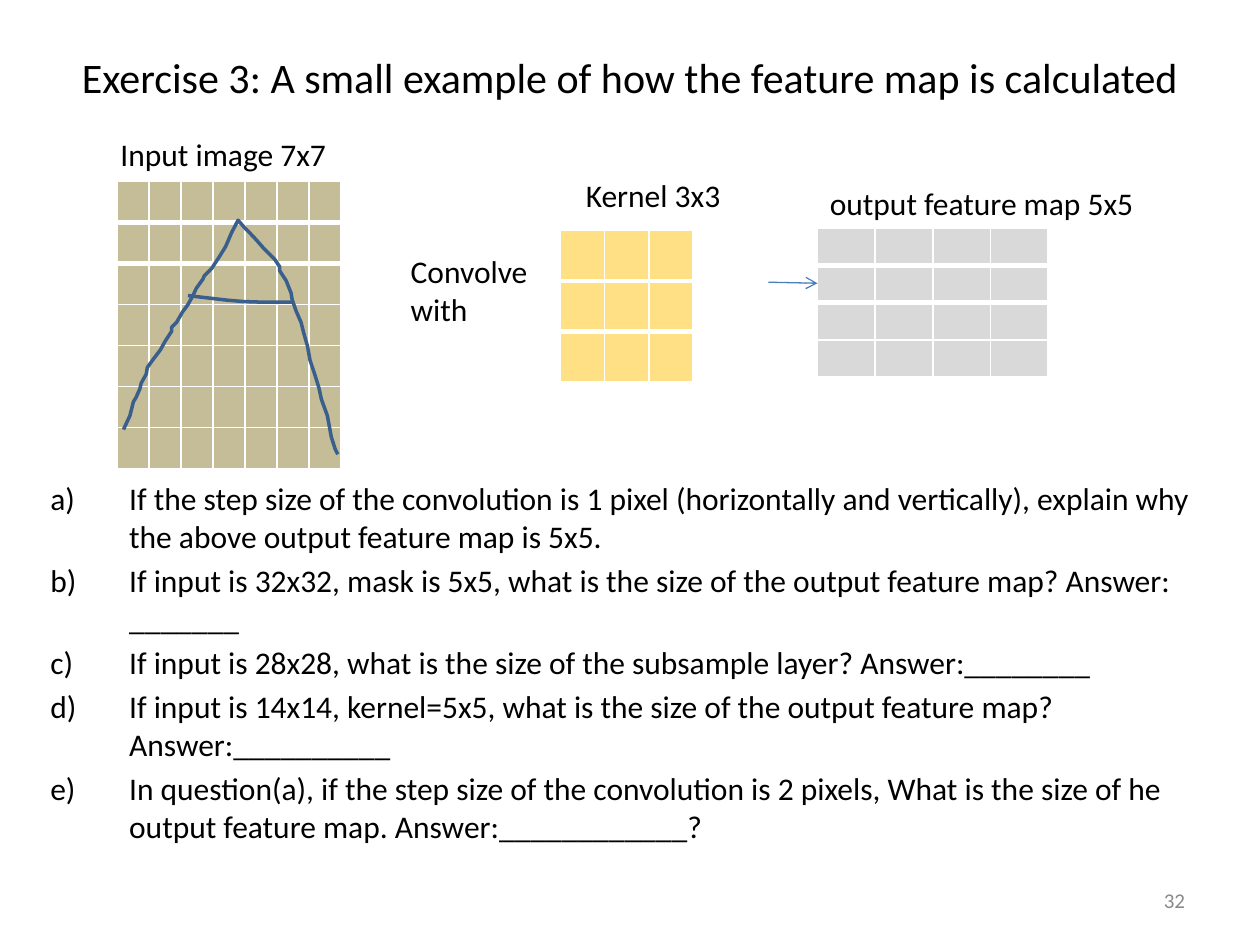
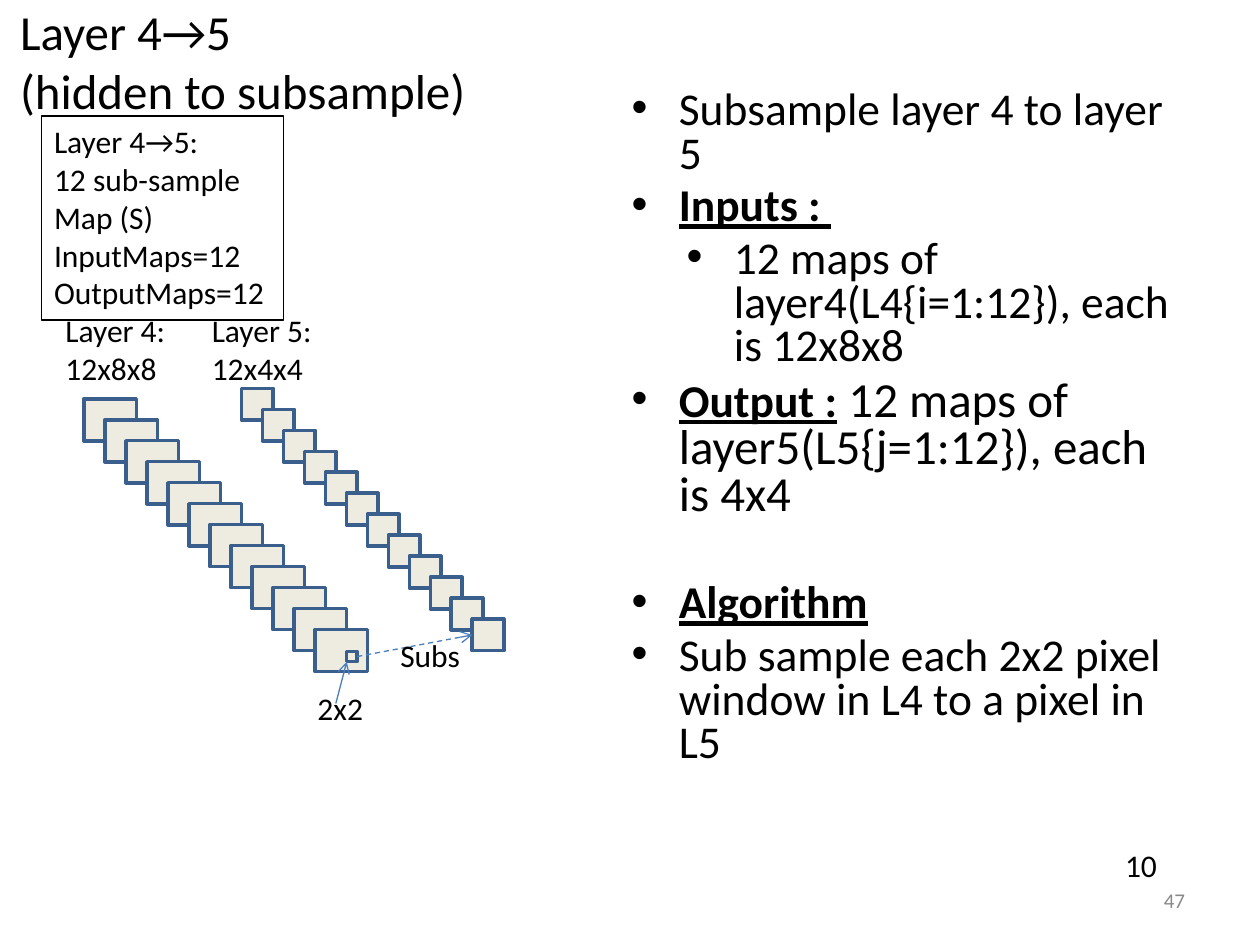
from dataclasses import dataclass

from lxml.etree import SubElement
from pptx import Presentation
from pptx.dml.color import RGBColor
from pptx.enum.dml import MSO_LINE_DASH_STYLE as Dash
from pptx.enum.shapes import MSO_CONNECTOR as Connector
from pptx.enum.shapes import MSO_SHAPE as Shape
from pptx.enum.text import MSO_ANCHOR as Anchor
from pptx.enum.text import MSO_AUTO_SIZE as AutoSize
from pptx.enum.text import PP_ALIGN as Align
from pptx.oxml.ns import qn
from pptx.util import Cm, Pt


@dataclass(frozen=True)
class Theme:
    font: str = "Calibri"
    text: str = "000000"
    number: str = "898989"
    outline: str = "3A5F8C"
    arrow: str = "4B7EBC"
    feature_map: str = "EEECE1"
    grid_line: str = "FFFFFF"
    input_grid: str = "C4BD97"
    kernel_grid: str = "FFC000"
    output_grid: str = "D9D9D9"
    kernel_opacity: int = 48
    exercise_title: int = 24
    layer_title: int = 28
    output_size: int = 28
    bullet_size: int = 26
    label_size: int = 18
    number_size: int = 12


THEME = Theme()


@dataclass(frozen=True)
class Box:
    """A region, in centimetres."""
    left: float
    top: float
    width: float
    height: float

    def inner(self, left, top, width, height):
        return Box(self.left + left, self.top + top, width, height)

    def lengths(self):
        return Cm(self.left), Cm(self.top), Cm(self.width), Cm(self.height)


# Strokes of the letter A, in hundredths of a centimetre
LETTER_LEGS = [
    (0, 422), (13, 394), (20, 366), (25, 358), (33, 340), (36, 328), (46, 310),
    (48, 297), (61, 279), (74, 262), (84, 244), (97, 224), (97, 216), (107, 206),
    (119, 185), (130, 170), (140, 152), (147, 137), (160, 119), (163, 112),
    (178, 97), (193, 74), (206, 53), (218, 25), (231, 0), (244, 15), (254, 25),
    (269, 41), (282, 56), (300, 74), (305, 79), (315, 94), (315, 102), (328, 122),
    (338, 147), (340, 160), (348, 183), (358, 206), (363, 226), (371, 254),
    (376, 282), (386, 312), (394, 338), (399, 361), (411, 394), (419, 437),
    (427, 462), (432, 472),
]
LETTER_BAR = [(130, 152), (207, 161), (242, 164), (273, 165), (340, 165)]

QUESTIONS = [
    "If the step size of the convolution is 1 pixel (horizontally and vertically), "
    "explain why the above output feature map is 5x5.",
    "If input is 32x32, mask is 5x5, what is the size of the output feature map? "
    "Answer: _______",
    "If input is 28x28, what is the size of the subsample layer? Answer:________",
    "If input is 14x14, kernel=5x5, what is the size of the output feature map? "
    "Answer:__________",
    "In question(a), if the step size of the convolution is 2 pixels, What is the size "
    "of he output feature map. Answer:____________?",
]

# Level, space before, and runs of (text, size, heading)
SIZE = THEME.bullet_size
SUBSAMPLE_POINTS = [
    (0, 0, [("Subsample layer 4 to layer 5", SIZE, False)]),
    (0, 5.2, [("Inputs : ", SIZE, True)]),
    (1, 5.2, [("12 maps of layer4(L4{i=1:12}), each is 12x8x8", SIZE, False)]),
    (0, 5.2, [("Output :", SIZE, True),
              (" 12 maps of layer5(L5{j=1:12}), each is 4x4", THEME.output_size, False)]),
    (0, 36, [("Algorithm", SIZE, True)]),
    (0, 5.2, [("Sub sample each 2x2 pixel window in L4 to a pixel in L5", SIZE, False)]),
]


# Shared helpers
def colour(value):
    return RGBColor.from_string(value)


def add_run(paragraph, text, size=THEME.label_size, heading=False, ink=THEME.text):
    run = paragraph.add_run()
    run.text = text
    run.font.name = THEME.font
    run.font.size = Pt(size)
    run.font.bold = run.font.underline = heading
    run.font.color.rgb = colour(ink)


def write_lines(frame, lines, align=Align.LEFT, **style):
    for index, line in enumerate(lines):
        paragraph = frame.add_paragraph() if index else frame.paragraphs[0]
        paragraph.alignment = align
        add_run(paragraph, line, **style)


def add_label(slide, box, *lines):
    frame = slide.shapes.add_textbox(*box.lengths()).text_frame
    frame.word_wrap = False
    write_lines(frame, lines)


def set_outline(shape, ink=THEME.outline, width=2.0):
    shape.shadow.inherit = False
    shape.line.color.rgb = colour(ink)
    shape.line.width = Pt(width)


def add_arrow(slide, start, end, dashed=False):
    points = [Cm(value) for value in (*start, *end)]
    connector = slide.shapes.add_connector(Connector.STRAIGHT, *points)
    connector.line.color.rgb = colour(THEME.arrow)
    connector.line.width = Pt(0.75)
    if dashed:
        connector.line.dash_style = Dash.DASH
    properties = connector._element.spPr
    SubElement(properties.find(qn("a:ln")), qn("a:tailEnd"), type="arrow")
    SubElement(properties, qn("a:effectLst"))
    return connector


def format_list_item(paragraph, indent, hanging, before, bullet, **attributes):
    paragraph.space_before = Pt(before)
    properties = paragraph._p.get_or_add_pPr()
    properties.set("marL", str(Cm(indent)))
    properties.set("indent", str(-Cm(hanging)))
    SubElement(properties, qn(bullet), **attributes)


def place(placeholder, box):
    placeholder.left, placeholder.top, placeholder.width, placeholder.height = box.lengths()
    frame = placeholder.text_frame
    frame.word_wrap = True
    frame.auto_size = AutoSize.NONE
    return frame


def add_slide(presentation, title_lines, title_box, title_size, align, number):
    slide = presentation.slides.add_slide(presentation.slide_layouts[1])
    frame = place(slide.shapes.title, title_box)
    frame.vertical_anchor = Anchor.MIDDLE
    paragraph = frame.paragraphs[0]
    paragraph.alignment = align
    for index, line in enumerate(title_lines):
        if index:
            paragraph.add_line_break()
        add_run(paragraph, line, title_size)
    # Slide number
    frame = slide.shapes.add_textbox(*Box(18.21, 17.65, 5.93, 1.01).lengths()).text_frame
    frame.word_wrap = True
    frame.vertical_anchor = Anchor.MIDDLE
    write_lines(frame, [number], Align.RIGHT, size=THEME.number_size, ink=THEME.number)
    return slide


# Convolution exercise
def add_cell_border(cell, side, width):
    properties = cell._tc.get_or_add_tcPr()
    border = SubElement(properties, qn(side), w=str(Pt(width)))
    solid = SubElement(border, qn("a:solidFill"))
    SubElement(solid, qn("a:srgbClr"), val=THEME.grid_line)


def add_grid(slide, box, rows, columns, fill, opacity=100):
    table = slide.shapes.add_table(rows, columns, *box.lengths()).table
    # Thick rule under the first row, set before the fills
    for column in range(columns):
        add_cell_border(table.cell(0, column), "a:lnB", 3)
        add_cell_border(table.cell(1, column), "a:lnT", 3)
    for cell in table.iter_cells():
        cell.margin_top = cell.margin_bottom = 0
        cell.fill.solid()
        cell.fill.fore_color.rgb = colour(fill)
        if opacity < 100:
            solid = cell._tc.tcPr.find(qn("a:solidFill")).find(qn("a:srgbClr"))
            SubElement(solid, qn("a:alpha"), val=str(opacity * 1000))
        SubElement(cell.text_frame.paragraphs[0]._p, qn("a:endParaRPr"), sz="1000")


def add_stroke(slide, box, points):
    builder = slide.shapes.build_freeform(*points[0], scale=Cm(0.01))
    builder.add_line_segments(points[1:], close=False)
    stroke = builder.convert_to_shape(Cm(box.left), Cm(box.top))
    stroke.fill.background()
    set_outline(stroke)


def add_convolution(slide, box):
    add_grid(slide, box.inner(0.18, 1.07, 4.52, 5.79), 7, 7, THEME.input_grid)
    add_grid(slide, box.inner(9.12, 2.06, 2.67, 3.05), 3, 3,
             THEME.kernel_grid, THEME.kernel_opacity)
    add_grid(slide, box.inner(14.3, 2.01, 4.65, 3), 4, 4, THEME.output_grid)
    letter = box.inner(0.31, 1.85, 4.32, 4.72)
    for points in (LETTER_LEGS, LETTER_BAR):
        add_stroke(slide, letter, points)
    add_arrow(slide, (box.left + 13.31, box.top + 3.1), (box.left + 14.3, box.top + 3.12))
    add_label(slide, box.inner(0, 0, 4.7, 1.02), "Input image 7x7")
    add_label(slide, box.inner(5.85, 2.36, 2.9, 1.8), "Convolve", "with")
    add_label(slide, box.inner(9.38, 0.84, 3.25, 1.02), "Kernel 3x3")
    add_label(slide, box.inner(14.3, 0.99, 6.63, 1.02), "output feature map 5x5")


def add_questions(slide, box):
    frame = place(slide.placeholders[1], box)
    for index, question in enumerate(QUESTIONS):
        paragraph = frame.add_paragraph() if index else frame.paragraphs[0]
        format_list_item(paragraph, 1.59, 1.59, 3.6 if index else 0,
                         "a:buAutoNum", type="alphaLcParenR")
        add_run(paragraph, question)


def build_exercise(presentation):
    slide = add_slide(
        presentation, ["Exercise 3: A small example of how the feature map is calculated"],
        Box(1.27, 0.76, 22.86, 1.57), THEME.exercise_title, Align.CENTER, "32")
    add_questions(slide, Box(0.76, 9.53, 24.41, 8.25))
    add_convolution(slide, Box(2.18, 2.59, 20.93, 6.86))


# Subsampling layer
def add_square(slide, box):
    shape = slide.shapes.add_shape(Shape.RECTANGLE, *box.lengths())
    shape.fill.solid()
    shape.fill.fore_color.rgb = colour(THEME.feature_map)
    set_outline(shape)
    return shape


def add_map_stack(slide, box, width, height, count=12):
    """Spread the maps along the diagonal of the box and return the front one."""
    step_x = (box.width - width) / (count - 1)
    step_y = (box.height - height) / (count - 1)
    for index in range(count):
        front = add_square(slide, box.inner(index * step_x, index * step_y, width, height))
    return front


def add_layer_note(slide, box):
    note = slide.shapes.add_shape(Shape.RECTANGLE, *box.lengths())
    note.fill.background()
    set_outline(note, THEME.text, 0.75)
    note.text_frame.word_wrap = True
    note.text_frame.vertical_anchor = Anchor.TOP
    write_lines(note.text_frame, ["Layer 4→5:", "12 sub-sample", "Map (S)",
                                  "InputMaps=12", "OutputMaps=12"])


def add_layers(slide, box):
    add_map_stack(slide, box.inner(0.62, 1.89, 5.72, 5.5), 1.06, 0.85)
    subsampled = add_map_stack(slide, box.inner(3.8, 1.68, 5.29, 5.29), 0.64, 0.64)
    window = add_square(slide, box.inner(5.92, 6.98, 0.21, 0.21))
    add_label(slide, box.inner(0, 0, 2.54, 1.8), "Layer 4:", "12x8x8")
    add_label(slide, box.inner(2.95, 0, 2.54, 1.8), "Layer 5:", "12x4x4")
    link = add_arrow(slide, (0, 0), (1, 1), dashed=True)
    link.begin_connect(window, 3)
    link.end_connect(subsampled, 1)
    add_label(slide, box.inner(6.75, 6.55, 1.73, 1.02), "Subs")
    add_label(slide, box.inner(5.08, 7.62, 1.47, 1.02), "2x2")
    add_arrow(slide, (box.left + 5.7, box.top + 8.03), (box.left + 5.92, box.top + 7.19))


def add_points(slide, box):
    frame = place(slide.placeholders[1], box)
    for index, (level, before, runs) in enumerate(SUBSAMPLE_POINTS):
        paragraph = frame.add_paragraph() if index else frame.paragraphs[0]
        paragraph.level = level
        paragraph.line_spacing = 0.8
        format_list_item(paragraph, 0.95 + 1.11 * level, 0.95, before, "a:buChar", char="•")
        for text, size, heading in runs:
            add_run(paragraph, text, size, heading)


def build_subsample(presentation):
    slide = add_slide(presentation, ["Layer 4→5", "(hidden to subsample)"],
                      Box(0.15, -0.38, 22.86, 3.18), THEME.layer_title, Align.LEFT, "47")
    add_layers(slide, Box(1.07, 6.15, 9.1, 8.64))
    add_layer_note(slide, Box(0.84, 2.34, 4.88, 4.11))
    add_points(slide, Box(12.48, 1.7, 11.43, 17.35))
    add_label(slide, Box(22.43, 16.94, 1.17, 1.02), "10")


def main():
    presentation = Presentation()
    presentation.slide_width, presentation.slide_height = Cm(25.4), Cm(19.05)
    build_exercise(presentation)
    build_subsample(presentation)
    presentation.save("out.pptx")


if __name__ == "__main__":
    main()
